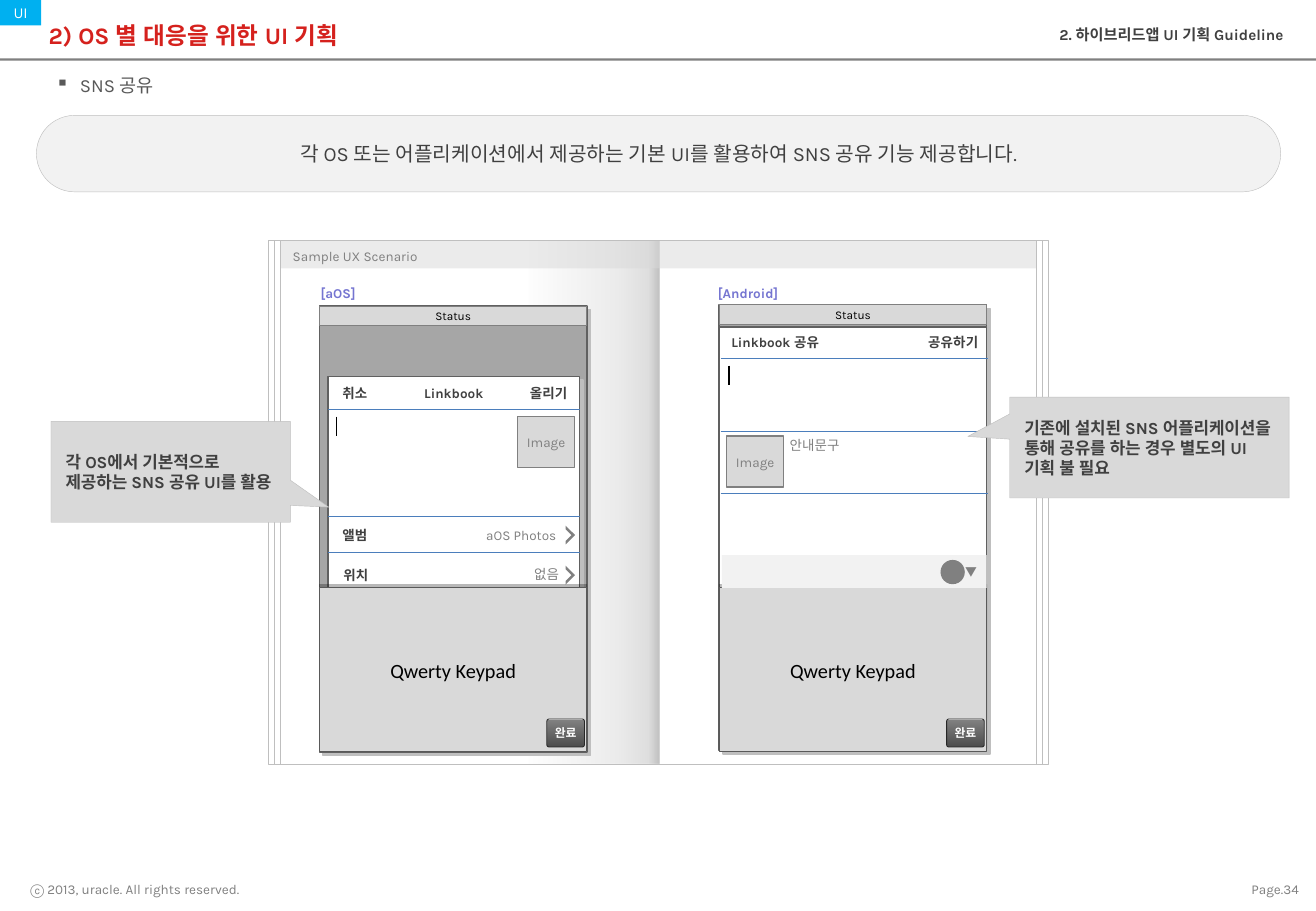
from dataclasses import dataclass

from lxml import etree
from pptx import Presentation
from pptx import util as u
from pptx.dml.color import RGBColor
from pptx.enum import lang, shapes, text
from pptx.oxml import parse_xml
from pptx.oxml.ns import nsdecls, qn

SCALE = 9144  # EMU in one px
KIND = shapes.MSO_SHAPE
LEFT, CENTER, RIGHT = text.PP_ALIGN.LEFT, text.PP_ALIGN.CENTER, text.PP_ALIGN.RIGHT
TOP, MIDDLE = text.MSO_ANCHOR.TOP, text.MSO_ANCHOR.MIDDLE


@dataclass(frozen=True)
class Theme:
    font: str = "Karla"
    keypad_font: str = "Calibri"
    button_font: str = "DejaVu Sans"
    symbol_font: str = "Noto Sans CJK KR"
    notice_font: str = "Arial"
    white: str = "FFFFFF"
    black: str = "000000"
    red: str = "D5211D"
    cyan: str = "00B0F0"
    violet: str = "7575D1"
    blue: str = "4B7EBC"
    ink: str = "404040"
    body: str = "595959"
    frame: str = "606060"
    gray: str = "808080"
    screen: str = "A6A6A6"
    border: str = "BFBFBF"
    panel: str = "D9D9D9"
    pale: str = "F2F2F2"
    button_edge: str = "262626"
    button_dark: str = "4C4C4C"
    title: int = 14
    lead: int = 12
    bullet: int = 11
    callout: int = 10
    header: int = 9
    label: int = 8
    small: int = 7


THEME = Theme()
DROP_SHADOW = (THEME.border, 100, 3, 45)
KEYPAD_SHADOW = (THEME.black, 28, 2, 270)


def set_values(target, values):
    for name, value in values.items():
        setattr(target, name, value)


def color_xml(color, alpha=100):
    return f'<a:srgbClr val="{color}"><a:alpha val="{alpha * 1000}"/></a:srgbClr>'


class SlideBuilder:
    def __init__(self, slide, theme):
        self.slide, self.theme = slide, theme

    def add_text(self, shape, words, size=None, color=None, bold=False, font=None, align=CENTER,
                 anchor=MIDDLE, inset=10, spacing=None, bullet=None):
        frame = shape.text_frame
        set_values(frame, {
            "word_wrap": True, "auto_size": text.MSO_AUTO_SIZE.NONE, "vertical_anchor": anchor,
            "margin_left": inset * SCALE, "margin_right": inset * SCALE,
            "margin_top": 5 * SCALE, "margin_bottom": 5 * SCALE})
        paragraph = frame.paragraphs[0]
        set_values(paragraph, {"alignment": align, "line_spacing": spacing})
        if bullet:
            properties = paragraph._p.get_or_add_pPr()
            properties.set("marL", str(20 * SCALE))
            properties.set("indent", str(-20 * SCALE))
            etree.SubElement(properties, qn("a:buChar")).set("char", bullet)
        run = paragraph.add_run()
        run.text = words
        name = font or self.theme.font
        set_values(run.font, {"size": u.Pt(size or self.theme.label), "bold": bold, "name": name,
                              "language_id": lang.MSO_LANGUAGE_ID.KOREAN})
        run.font.color.rgb = RGBColor.from_string(color or self.theme.ink)
        east_asian = parse_xml(f'<a:ea {nsdecls("a")} typeface="{name}"/>')
        run.font._element.find(qn("a:latin")).addnext(east_asian)

    def title(self, box, words, **style):
        shape = self.slide.shapes.title
        set_values(shape, dict(zip(("left", "top", "width", "height"), (v * SCALE for v in box))))
        self.add_text(shape, words, **style)

    def label(self, box, words, **style):
        shape = self.slide.shapes.add_textbox(*(v * SCALE for v in box))
        self.add_text(shape, words, **{"anchor": TOP, **style})

    def shape(self, box, fill=None, line=None, width=0.25, kind=KIND.RECTANGLE, adjust=(),
              alpha=100, shadow=None, rotation=0, words=None, **style):
        shape = self.slide.shapes.add_shape(kind, *(v * SCALE for v in box))
        shape.shadow.inherit = False
        shape.rotation = rotation
        for index, value in enumerate(adjust):
            shape.adjustments[index] = value
        if fill:
            shape.fill.solid()
            shape.fill.fore_color.rgb = RGBColor.from_string(fill)
            if alpha < 100:
                color = shape._element.spPr.find(".//" + qn("a:srgbClr"))
                etree.SubElement(color, qn("a:alpha")).set("val", str(alpha * 1000))
        else:
            shape.fill.background()
        if line:
            shape.line.color.rgb = RGBColor.from_string(line)
            shape.line.width = u.Pt(width)
        else:
            shape.line.fill.background()
        if shadow:
            color, opacity, distance, angle = shadow
            shape._element.spPr.find(qn("a:effectLst")).append(parse_xml(
                f'<a:outerShdw {nsdecls("a")} dist="{u.Pt(distance)}" dir="{angle * 60000}" '
                f'algn="tl" rotWithShape="0">{color_xml(color, opacity)}</a:outerShdw>'))
        if words:
            self.add_text(shape, words, **style)
        return shape

    def gradient(self, box, stops, angle, alpha=100, **options):
        shape = self.shape(box, **options)
        stop_xml = "".join(f'<a:gs pos="{place * 1000}">{color_xml(color, alpha)}</a:gs>'
                           for place, color in stops)
        properties = shape._element.spPr
        properties.replace(properties.find(qn("a:noFill")), parse_xml(
            f'<a:gradFill {nsdecls("a")} rotWithShape="1"><a:gsLst>{stop_xml}</a:gsLst>'
            f'<a:lin ang="{angle * 60000}" scaled="0"/></a:gradFill>'))

    def line(self, x1, y1, x2, y2, color):
        connector = self.slide.shapes.add_connector(
            shapes.MSO_CONNECTOR.STRAIGHT, *(v * SCALE for v in (x1, y1, x2, y2)))
        connector.line.color.rgb = RGBColor.from_string(color)
        connector.line.width = u.Pt(0.75)
        etree.SubElement(connector._element.spPr, qn("a:effectLst"))

    def phone(self, left, top):
        t = self.theme
        self.shape((left, top, 220, 367), t.screen, t.frame, 1, shadow=DROP_SHADOW)
        self.shape((left, top, 220, 16), t.panel, t.gray, 0.5, words="Status", size=t.small,
                   color=t.black)

    def sheet(self, box):
        self.shape(box, self.theme.white, self.theme.frame, 1, shadow=DROP_SHADOW)

    def keypad(self, left):
        t = self.theme
        self.shape((left, 484, 220, 135), t.panel, t.body, 0.5, shadow=KEYPAD_SHADOW,
                   words="Qwerty Keypad", size=t.lead, color=t.black, font=t.keypad_font)
        self.gradient((left + 187, 592, 31, 23),
                      ((0, t.button_dark), (96, t.gray), (100, t.pale)), 270,
                      line=t.button_edge, width=0.5, kind=KIND.ROUNDED_RECTANGLE, adjust=(0.08,),
                      words="완료", size=t.small, color=t.white, bold=True, font=t.button_font,
                      inset=0)

    def image_box(self, left, top):
        t = self.theme
        self.shape((left, top, 47, 42), t.panel, t.gray, 0.75, words="Image", color=t.gray,
                   inset=0)

    def chevron(self, top):
        self.shape((460, top, 11, 11), self.theme.gray, kind=KIND.HALF_FRAME,
                   adjust=(0.19, 0.19), rotation=135)

    def callout(self, box, pointer, words):
        t = self.theme
        self.shape(box, t.panel, t.border, kind=KIND.RECTANGULAR_CALLOUT, adjust=pointer,
                   words=words, size=t.callout, bold=True, align=LEFT, inset=12)


def draw_page(b, t):
    b.shape((0, 48, 1083, 2), t.gray)
    b.label((978, 721, 100, 22), "Page.34", color=t.gray, align=RIGHT, anchor=MIDDLE, inset=9)
    b.label((16, 721, 240, 22), "ⓒ 2013, uracle. All rights reserved.", color=t.gray,
            align=LEFT, anchor=MIDDLE, inset=9)
    b.shape((0, 0, 34, 21), t.cyan, words="UI", size=t.header, color=t.white, inset=0)
    b.title((30, 8, 1033, 41), "2) OS 별 대응을 위한 UI 기획", size=t.title, color=t.red,
            bold=True, align=LEFT)
    b.label((688, 16, 378, 28), "2. 하이브리드앱 UI 기획 Guideline", size=t.header, bold=True,
            align=RIGHT)
    b.label((36, 56, 939, 28), "SNS 공유", size=t.bullet, color=t.body, align=LEFT,
            anchor=MIDDLE, bullet="▪")
    b.shape((30, 95, 1024, 63), t.pale, t.border, kind=KIND.ROUNDED_RECTANGLE, adjust=(0.5,),
            words="각 OS 또는 어플리케이션에서 제공하는 기본 UI를 활용하여 SNS 공유 기능 제공합니다.",
            size=t.lead)


def draw_book(b, t):
    b.gradient((231, 198, 312, 431),
               ((0, t.gray), (3, t.border), (11, t.panel), (35, t.white)), 180, alpha=50)
    b.shape((231, 198, 622, 23), t.panel, alpha=50, words="Sample UX Scenario", color=t.gray,
            align=LEFT, spacing=1.2)
    for margin in (0, 5, 10):
        b.shape((231 - margin, 198, 622 + 2 * margin, 431), line=t.border)
    for left, name in ((254, "[aOS]"), (581, "[Android]")):
        b.label((left, 227, 100, 25), name, color=t.violet, bold=True, align=LEFT, spacing=1.2)


def draw_left_phone(b, t):
    b.phone(263, 252)
    b.sheet((270, 310, 207, 175))
    for box, words in (((337, 312, 73, 22), "Linkbook"), ((270, 312, 44, 22), "취소"),
                       ((426, 312, 51, 24), "올리기"), ((270, 429, 44, 22), "앨범"),
                       ((271, 462, 44, 24), "위치")):
        b.label(box, words, bold=True, inset=4)
    for y in (337, 425, 455):
        b.line(270, y, 477, y, t.blue)
    b.image_box(426, 343)
    b.line(277, 343, 277, 359, t.black)
    b.label((388, 429, 82, 24), "aOS Photos", color=t.gray)
    b.label((388, 461, 82, 24), "없음", color=t.gray, align=RIGHT)
    for top in (435, 468):
        b.chevron(top)
    b.keypad(263)
    b.callout((42, 347, 197, 83), (0.66, 0.35), "각 OS에서 기본적으로 제공하는 SNS 공유 UI를 활용")


def draw_right_phone(b, t):
    b.phone(592, 251)
    b.sheet((592, 269, 220, 217))
    b.keypad(592)
    b.label((585, 270, 106, 24), "Linkbook 공유", bold=True)
    b.label((754, 270, 61, 24), "공유하기", bold=True, inset=4)
    for y in (295, 355, 406):
        b.line(593, y, 813, y, t.blue)
    b.line(600, 301, 600, 317, t.black)
    b.image_box(598, 359)
    b.label((640, 355, 80, 24), "안내문구", color=t.gray, font=t.notice_font, align=LEFT)
    b.shape((594, 457, 218, 27), t.pale, words="▼", size=t.small, color=t.gray, bold=True,
            font=t.symbol_font, align=RIGHT, inset=8)
    b.shape((774, 461, 20, 20), t.gray, kind=KIND.OVAL)
    b.callout((831, 327, 230, 83), (-0.65, -0.11),
              "기존에 설치된 SNS 어플리케이션을 통해 공유를 하는 경우 별도의 UI기획 불 필요")


def main():
    presentation = Presentation()
    set_values(presentation, {"slide_width": 1083 * SCALE, "slide_height": 750 * SCALE})
    slide = presentation.slides.add_slide(presentation.slide_layouts[5])
    builder = SlideBuilder(slide, THEME)
    for draw in (draw_page, draw_book, draw_left_phone, draw_right_phone):
        draw(builder, THEME)
    presentation.save("out.pptx")


if __name__ == "__main__":
    main()
